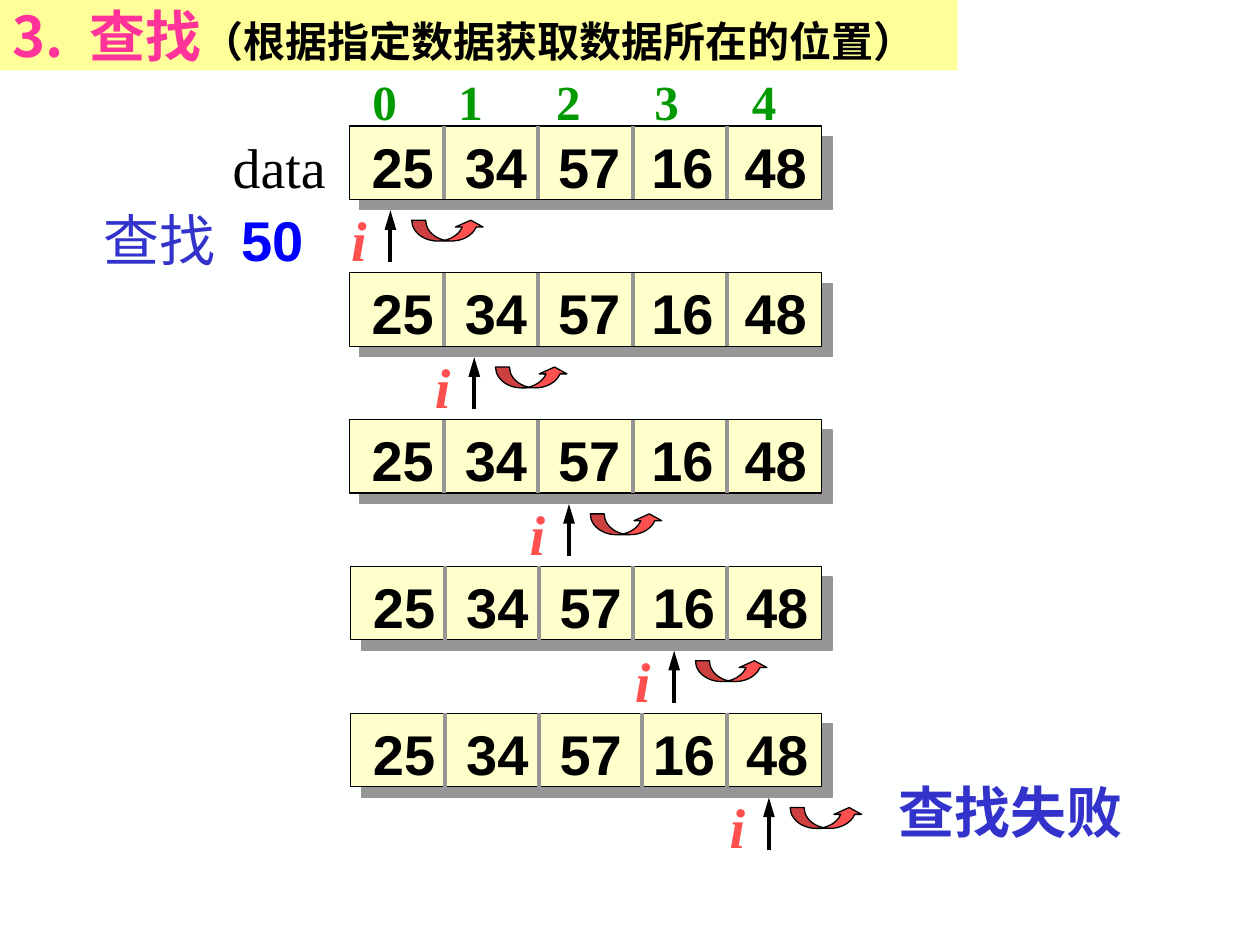
from dataclasses import dataclass

from lxml import etree
from pptx import Presentation
from pptx.dml.color import RGBColor
from pptx.enum.shapes import MSO_CONNECTOR, MSO_SHAPE
from pptx.enum.text import MSO_ANCHOR, MSO_AUTO_SIZE, PP_ALIGN
from pptx.oxml.ns import qn
from pptx.util import Cm, Pt

STRAIGHT = MSO_CONNECTOR.STRAIGHT
RECTANGLE = MSO_SHAPE.RECTANGLE
CURVED_ARROW = MSO_SHAPE.CURVED_UP_ARROW
MIDDLE = MSO_ANCHOR.MIDDLE
FIT_SHAPE = MSO_AUTO_SIZE.SHAPE_TO_FIT_TEXT
NO_FIT = MSO_AUTO_SIZE.NONE
LEFT = PP_ALIGN.LEFT


@dataclass(frozen=True)
class Theme:
    background: str = "FEFFFF"
    banner: str = "FFFF99"
    heading: str = "FF3399"
    ink: str = "000000"
    cell: str = "FFFFCC"
    gray: str = "969696"
    index: str = "009900"
    result: str = "3333CC"
    target: str = "0000FF"
    pointer: str = "FF5050"
    sans: str = "Arial"
    serif: str = "Times New Roman"
    chinese: str = "Noto Sans CJK SC"
    large: int = 32
    medium: int = 28
    small: int = 24
    thick: float = 2.25
    thin: float = 0.75


THEME = Theme()


@dataclass(frozen=True)
class Run:
    text: str
    color: str
    font: str = THEME.serif
    size: int = THEME.large
    bold: bool = True
    italic: bool = False


@dataclass(frozen=True)
class Label:
    left: float
    top: float
    width: float
    height: float
    runs: tuple[Run, ...]
    tabs: tuple[float, ...] = ()
    wrap: bool = False


@dataclass(frozen=True)
class Step:
    left: float
    pointer: float
    shifts: tuple[float, ...] = (0, 0, 0, 0)


VALUES = ("25", "34", "57", "16", "48")
VALUE_TABS = tuple(1.88 * position for position in range(1, len(VALUES)))
ARRAY_TOP, ARRAY_RIGHT, ARRAY_HEIGHT, STEP_PITCH = 2.54, 16.56, 1.48, 2.96

STEPS = (
    Step(7.04, 7.87),
    Step(7.04, 9.56),
    Step(7.04, 11.47),
    Step(7.07, 13.59),
    Step(7.07, 15.5, (0, 0, 0.17, 0)),
)

LABELS = (
    Label(7.26, 1.32, 9.2, 1.45,
          (Run("0\t1\t2\t3\t4", THEME.index, size=THEME.medium),),
          (1.73, 3.7, 5.68, 7.65), True),
    Label(4.44, 2.54, 2.39, 1.63, (Run("data", THEME.ink, bold=False),)),
    Label(1.83, 4.01, 4.85, 1.63,
          (Run("查找\t", THEME.result, bold=False),
           Run("50", THEME.target, THEME.sans)), (2.78,), True),
    Label(17.86, 15.54, 5.03, 1.63, (Run("查找失败", THEME.result),)),
)

HEADING = Label(0, 0, 19.3, 1.42, (
    Run("3.\t查找", THEME.heading, THEME.chinese),
    Run("（根据指定数据获取数据所在的位置）", THEME.ink, THEME.chinese, THEME.small),
), (1.55,), True)


def rgb(color: str) -> RGBColor:
    return RGBColor.from_string(color)


def add_effects(shape):
    return etree.SubElement(shape._element.spPr, qn("a:effectLst"))


def write_text(shape, label: Label) -> None:
    paragraph = shape.text_frame.paragraphs[0]
    paragraph.alignment = LEFT
    if label.tabs:
        tab_list = etree.SubElement(paragraph._p.get_or_add_pPr(), qn("a:tabLst"))
        for position in label.tabs:
            etree.SubElement(tab_list, qn("a:tab"), pos=str(int(Cm(position))), algn="l")
    for item in label.runs:
        run = paragraph.add_run()
        run.text = item.text
        formats = {"name": item.font, "size": Pt(item.size),
                   "bold": item.bold, "italic": item.italic}
        for name, value in formats.items():
            setattr(run.font, name, value)
        run.font.color.rgb = rgb(item.color)
        etree.SubElement(run._r.get_or_add_rPr(), qn("a:ea"), typeface=THEME.chinese)


def add_label(slide, label: Label) -> None:
    box = slide.shapes.add_textbox(
        Cm(label.left), Cm(label.top), Cm(label.width), Cm(label.height))
    box.text_frame.word_wrap = label.wrap
    box.text_frame.auto_size = FIT_SHAPE
    write_text(box, label)


def add_heading(slide, label: Label) -> None:
    title = slide.shapes.title
    for name in ("left", "top", "width", "height"):
        setattr(title, name, Cm(getattr(label, name)))
    title.fill.solid()
    title.fill.fore_color.rgb = rgb(THEME.banner)
    formats = {"word_wrap": True, "auto_size": NO_FIT, "vertical_anchor": MIDDLE}
    for name, value in formats.items():
        setattr(title.text_frame, name, value)
    write_text(title, label)


def add_line(slide, x: float, start: float, end: float, color: str):
    line = slide.shapes.add_connector(STRAIGHT, Cm(x), Cm(start), Cm(x), Cm(end))
    line.line.color.rgb = rgb(color)
    line.line.width = Pt(THEME.thick)
    add_effects(line)
    return line


def add_shape(slide, kind, left: float, top: float, width: float, height: float, fill: str):
    shape = slide.shapes.add_shape(kind, Cm(left), Cm(top), Cm(width), Cm(height))
    shape.shadow.inherit = False
    shape.fill.solid()
    shape.fill.fore_color.rgb = rgb(fill)
    shape.line.color.rgb = rgb(THEME.ink)
    shape.line.width = Pt(THEME.thin)
    return shape


def add_array(slide, step: Step, top: float) -> None:
    width = ARRAY_RIGHT - step.left
    frame = add_shape(slide, RECTANGLE, step.left, top, width, ARRAY_HEIGHT, THEME.cell)
    effects = frame._element.spPr.find(qn("a:effectLst"))
    shadow = etree.SubElement(effects, qn("a:outerShdw"), dist=str(int(Pt(8.5))),
                              dir="2700000", algn="ctr", rotWithShape="0")
    etree.SubElement(shadow, qn("a:srgbClr"), val=THEME.gray)
    add_label(slide, Label(step.left + 0.2, top, 9.73, 1.63,
                           (Run("\t".join(VALUES), THEME.ink, THEME.sans),),
                           VALUE_TABS, True))
    for position, shift in enumerate(step.shifts, 1):
        x = step.left + position * width / len(VALUES) + shift
        add_line(slide, x, top, top + ARRAY_HEIGHT, THEME.gray)


def add_pointer(slide, x: float, top: float) -> None:
    arrow = add_line(slide, x, top + 2.75, top + 1.7, THEME.ink)
    etree.SubElement(arrow.line._get_or_add_ln(), qn("a:tailEnd"),
                     type="triangle", w="med", len="lg")
    add_label(slide, Label(x - 1.04, top + ARRAY_HEIGHT, 0.81, 1.63,
                           (Run("i", THEME.pointer, italic=True),)))
    curve = add_shape(slide, CURVED_ARROW, x + 0.43, top + 1.9, 1.47, 0.42, THEME.pointer)
    for position, value in enumerate((0.67, 1.33, 0.33)):
        curve.adjustments[position] = value


def main() -> None:
    presentation = Presentation()
    presentation.slide_width = Cm(25.4)
    presentation.slide_height = Cm(19.05)
    slide = presentation.slides.add_slide(presentation.slide_layouts[5])
    slide.background.fill.solid()
    slide.background.fill.fore_color.rgb = rgb(THEME.background)
    add_heading(slide, HEADING)
    for position, step in enumerate(STEPS):
        top = ARRAY_TOP + position * STEP_PITCH
        add_array(slide, step, top)
        add_pointer(slide, step.pointer, top)
    for label in LABELS:
        add_label(slide, label)
    presentation.save("out.pptx")


if __name__ == "__main__":
    main()
